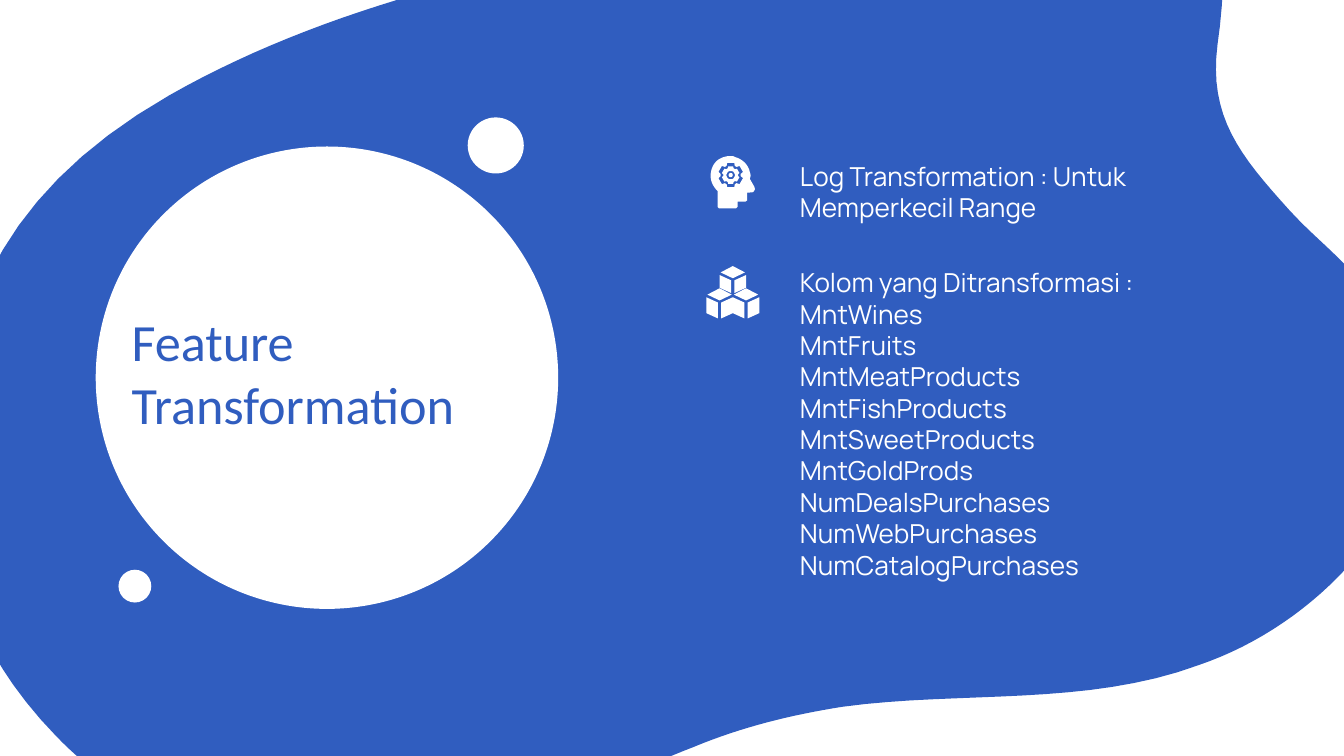
import math

from pptx import Presentation
from pptx import util as u
from pptx.dml import color as c
from pptx.enum import shapes, text

COLORS = {"blue": "305DBF", "white": "FFFFFF"}

BLOB = [
    (8.13, -2.25), (7.82, -2.38, 7.42, -2.43, 6.91, -2.34),
    (6.09, -2.2, 5.46, -1.54, 5.01, -0.89), (4.63, -0.34, 3.91, -0.26, 3.34, -0.11),
    (2.63, 0.08, 1.91, 0.34, 1.26, 0.71), (-0.07, 1.47, -0.45, 2.5, -0.35, 3.79),
    (-0.32, 4.18, -0.25, 4.79, 0.42, 5.48), (0.68, 5.75, 0.97, 5.94, 1.28, 6.07),
    (2.08, 6.41, 3.05, 6.35, 4.14, 5.98), (4.49, 5.86, 4.82, 5.69, 5.16, 5.56),
    (5.52, 5.41, 5.89, 5.32, 6.27, 5.26), (7.15, 5.14, 8.08, 5.26, 8.92, 4.95),
    (9.36, 4.8, 9.77, 4.52, 10.08, 4.16), (10.47, 3.71, 10.6, 3.11, 10.38, 2.56),
    (10.18, 2.03, 9.88, 1.88, 9.59, 1.56), (9.23, 1.16, 8.99, 0.87, 9.06, 0.33),
    (9.16, -0.35, 9.18, -1.81, 8.13, -2.25),
]
HEAD = [
    (0.38, 0), (0.28, 0, 0.2, 0.03, 0.13, 0.08), (0.05, 0.15, 0, 0.25, 0, 0.38),
    (0, 0.48, 0.05, 0.58, 0.13, 0.66), (0.13, 0.96), (0.16, 0.99), (0.48, 0.99),
    (0.51, 0.96), (0.51, 0.86), (0.66, 0.86), (0.69, 0.84), (0.69, 0.69),
    (0.74, 0.69), (0.77, 0.69, 0.81, 0.69, 0.82, 0.66),
    (0.84, 0.64, 0.84, 0.61, 0.82, 0.57), (0.74, 0.43),
    (0.76, 0.38, 0.76, 0.36, 0.74, 0.3), (0.71, 0.15, 0.58, 0.05, 0.46, 0.02),
    (0.43, 0, 0.41, 0, 0.38, 0),
]
COLUMNS = [
    "MntWines", "MntFruits", "MntMeatProducts", "MntFishProducts", "MntSweetProducts",
    "MntGoldProds", "NumDealsPurchases", "NumWebPurchases", "NumCatalogPurchases",
]


def paint(sp, color):
    """Give a shape a plain fill without line or shadow."""
    sp.shadow.inherit = False
    sp.fill.solid()
    sp.fill.fore_color.rgb = c.RGBColor.from_string(COLORS[color])
    sp.line.fill.background()


def flatten(segments, steps=16):
    """Turn line ends and cubic curves into a list of points."""
    points = []
    for seg in segments:
        if len(seg) == 2:
            points.append(seg)
            continue
        x0, y0 = points[-1]
        x1, y1, x2, y2, x3, y3 = seg
        for i in range(1, steps + 1):
            t = i / steps
            k0, k1, k2, k3 = (1 - t) ** 3, 3 * t * (1 - t) ** 2, 3 * t * t * (1 - t), t ** 3
            points.append((k0 * x0 + k1 * x1 + k2 * x2 + k3 * x3,
                           k0 * y0 + k1 * y1 + k2 * y2 + k3 * y3))
    return points


def add_outline(s, contours, x, y, color, unit=u.Cm(1)):
    """Draw closed contours, measured in units from (x, y), as one shape."""
    builder = None
    for contour in contours:
        points = [(px * unit, py * unit) for px, py in contour]
        if builder is None:
            builder = s.shapes.build_freeform(*points[0])
        else:
            builder.move_to(*points[0])
        builder.add_line_segments(points[1:], close=True)
    paint(builder.convert_to_shape(x, y), color)


def add_circle(s, x, y, size, color="white"):
    """Draw a plain circle."""
    paint(s.shapes.add_shape(shapes.MSO_SHAPE.OVAL, x, y, size, size), color)


def add_text(s, paragraphs, x, y, w, h, *, font="Manrope", size=14, color="white",
             anchor=text.MSO_ANCHOR.TOP):
    """Add a wrapped text box with one format for all its paragraphs."""
    tf = s.shapes.add_textbox(x, y, w, h).text_frame
    tf.word_wrap = True
    tf.vertical_anchor = anchor
    tf.margin_left = tf.margin_right = tf.margin_top = tf.margin_bottom = u.Cm(0.25)
    for i, line in enumerate(paragraphs):
        p = tf.paragraphs[0] if i == 0 else tf.add_paragraph()
        r = p.add_run()
        r.text = line
        r.font.name = font
        r.font.size = u.Pt(size)
        r.font.color.rgb = c.RGBColor.from_string(COLORS[color])


def gear(cx, cy, outer, inner, teeth=6):
    """Return the points of a gear, or of a circle if both radii are equal."""
    corners = [(-24, inner), (-16, outer), (16, outer), (24, inner)]
    return [(cx + r * math.cos(math.radians(a)), cy + r * math.sin(math.radians(a)))
            for k in range(teeth)
            for a, r in ((k * 360 / teeth - 90 + da, radius) for da, radius in corners)]


def add_head_icon(s, x, y):
    """Draw a head with a gear inside."""
    cx, cy = 0.38, 0.36
    add_outline(s, [flatten(HEAD), gear(cx, cy, 0.24, 0.19)], x, y, "white")
    add_outline(s, [gear(cx, cy, 0.17, 0.14), gear(cx, cy, 0.08, 0.08)], x, y, "white")
    add_circle(s, x + u.Cm(cx - 0.04), y + u.Cm(cy - 0.04), u.Cm(0.08))


def add_cubes_icon(s, x, y):
    """Draw a pile of three cubes."""
    for cx, top, h in ((0.49, 0, 0.24), (0.24, 0.42, 0.3), (0.74, 0.42, 0.3)):
        lid = [(cx, top), (cx - 0.23, top + 0.12), (cx, top + 0.23), (cx + 0.23, top + 0.12)]
        add_outline(s, [lid], x, y, "white")
        for side in (-1, 1):
            near, far = cx + side * 0.03, cx + side * 0.25
            face = [(far, top + 0.17), (far, top + 0.17 + h),
                    (near, top + 0.27 + h), (near, top + 0.27)]
            add_outline(s, [face], x, y, "white")


def add_background(s, x, y, w):
    """Draw the blue blob across the given width."""
    add_outline(s, [flatten(BLOB)], x, y, "blue", unit=w / 10)


def add_title(s, x, y, size):
    """Draw the title circle with its two satellites."""
    add_circle(s, x, y, size)
    add_text(s, ["Feature Transformation"], x + u.Cm(0.43), y + u.Cm(2.83),
             u.Cm(9.02), u.Cm(2.87), font="Calibri", size=28, color="blue",
             anchor=text.MSO_ANCHOR.MIDDLE)
    add_circle(s, x + u.Cm(7.03), y - u.Cm(0.55), u.Cm(1.06))
    add_circle(s, x + u.Cm(0.43), y + u.Cm(8), u.Cm(0.62))


def add_points(s, x, y, w):
    """Place the two icons and their texts."""
    text_x = x + u.Cm(1.51)
    add_head_icon(s, x + u.Cm(0.07), y + u.Cm(0.18))
    add_text(s, ["Log Transformation : Untuk Memperkecil Range"],
             text_x, y + u.Cm(0.01), u.Cm(7.24), u.Cm(2))
    add_cubes_icon(s, x, y + u.Cm(2.26))
    add_text(s, ["Kolom yang Ditransformasi :", *COLUMNS],
             text_x, y + u.Cm(2.02), w - u.Cm(1.5), u.Cm(6.68))


def main():
    """Build the slide."""
    prs = Presentation()
    prs.slide_width, prs.slide_height = u.Cm(25.4), u.Cm(14.29)
    s = prs.slides.add_slide(prs.slide_layouts[6])
    add_background(s, 0, 0, prs.slide_width)
    add_title(s, u.Cm(1.81), u.Cm(2.77), u.Cm(8.74))
    add_points(s, u.Cm(13.36), u.Cm(2.77), u.Cm(9.75))
    prs.save("out.pptx")


if __name__ == "__main__":
    main()
